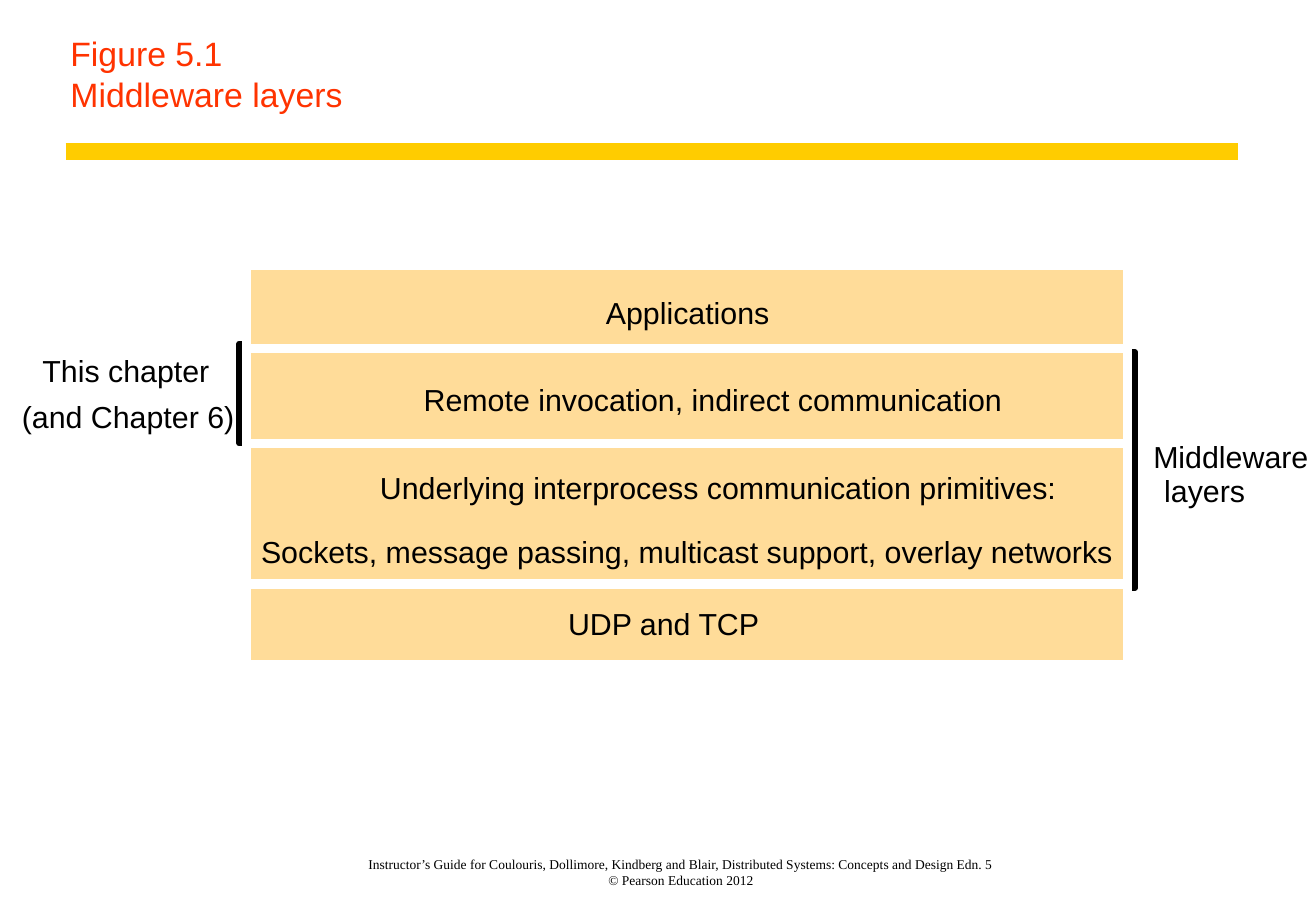
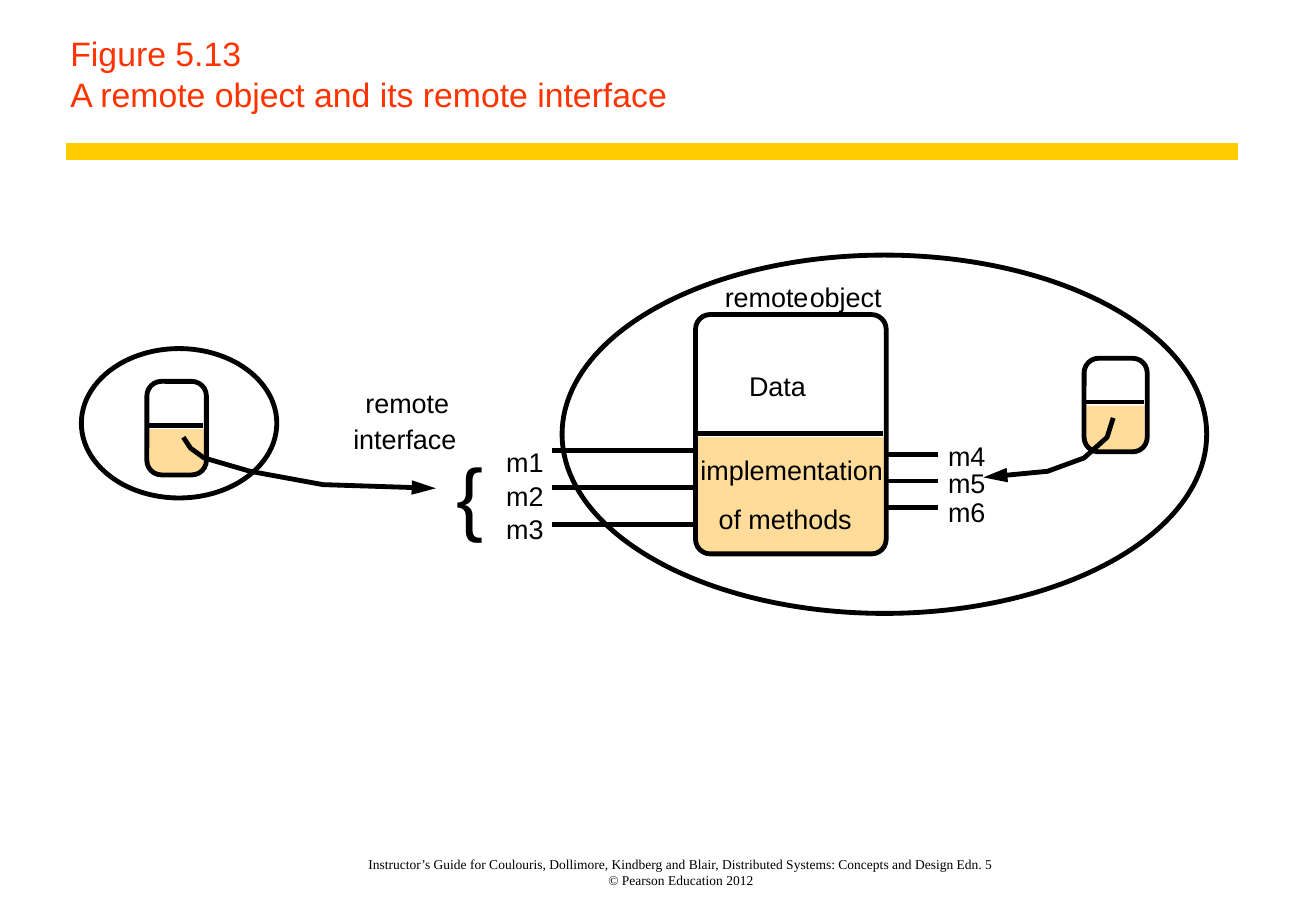
"""Build two figure slides on middleware layers and remote objects."""
from lxml import etree
from pptx import Presentation
from pptx.dml.color import RGBColor
from pptx.enum.shapes import MSO_CONNECTOR, MSO_SHAPE as SHAPE
from pptx.enum.text import MSO_ANCHOR as ANCHOR, PP_ALIGN as ALIGN
from pptx.oxml.ns import qn
from pptx.util import Inches, Pt

COLORS = {"ink": "000000", "title": "FF3300", "band": "FFCC00",
          "layer": "FFDC99", "paper": "FFFFFF"}
STROKE = 2.86
BRACKET = 3.37
LABEL_SLACK = 0.06
FOOTER = ("Instructor’s Guide for Coulouris, Dollimore, Kindberg and Blair, "
          "Distributed Systems: Concepts and Design Edn. 5\n© Pearson Education 2012")


def rgb(name):
    return RGBColor.from_string(COLORS[name])


def add_text(s, text, x, y, w, h, size, color="ink", font="Arial",
             align=ALIGN.LEFT, anchor=ANCHOR.TOP):
    box = s.shapes.add_textbox(Inches(x), Inches(y), Inches(w), Inches(h))
    tf = box.text_frame
    tf.margin_left = tf.margin_right = tf.margin_top = tf.margin_bottom = 0
    tf.word_wrap = True
    tf.vertical_anchor = anchor
    p = tf.paragraphs[0]
    p.text = text
    p.alignment = align
    p.font.size = Pt(size)
    p.font.name = font
    p.font.color.rgb = rgb(color)


def add_label(s, text, x, y, w, size):
    add_text(s, text, x, y, w + LABEL_SLACK, size / 60, size)


def style(sp, fill=None, line=None, width=STROKE):
    sp.shadow.inherit = False
    if fill:
        sp.fill.solid()
        sp.fill.fore_color.rgb = rgb(fill)
    else:
        sp.fill.background()
    if line:
        sp.line.color.rgb = rgb(line)
        sp.line.width = Pt(width)
    else:
        sp.line.fill.background()


def add_box(s, kind, x, y, w, h, fill=None, line=None, width=STROKE, radius=None):
    sp = s.shapes.add_shape(kind, Inches(x), Inches(y), Inches(w), Inches(h))
    style(sp, fill, line, width)
    if radius:
        sp.adjustments[0] = radius / min(w, h)


def add_line(s, x1, y1, x2, y2, color="ink", width=STROKE):
    ln = s.shapes.add_connector(MSO_CONNECTOR.STRAIGHT, Inches(x1), Inches(y1),
                                Inches(x2), Inches(y2))
    ln.line.color.rgb = rgb(color)
    ln.line.width = Pt(width)
    etree.SubElement(ln._element.spPr, qn("a:effectLst"))


def add_arrow(s, points):
    pts = [(Inches(x), Inches(y)) for x, y in points]
    fb = s.shapes.build_freeform(*pts[0])
    fb.add_line_segments(pts[1:], close=False)
    sp = fb.convert_to_shape()
    style(sp, line="ink")
    etree.SubElement(sp.line._get_or_add_ln(), qn("a:tailEnd"),
                     type="triangle", w="med", len="lg")


def add_object(s, x, y, w, h, split):
    """Draw a rounded object with a white upper and a filled lower part."""
    add_box(s, SHAPE.ROUNDED_RECTANGLE, x, y, w, h, fill="layer", radius=0.12)
    add_box(s, SHAPE.RECTANGLE, x, y, w, split + 0.03, fill="paper")
    add_box(s, SHAPE.ROUNDED_RECTANGLE, x, y, w, h, line="ink", radius=0.12)
    add_line(s, x, y + split, x + w - 0.03, y + split)


def add_figure(prs, title):
    s = prs.slides.add_slide(prs.slide_layouts[6])
    add_text(s, title, 0.58, 0, 9.48, 0.94, 20, "title", anchor=ANCHOR.BOTTOM)
    add_line(s, 0.54, 1.25, 10.2, 1.25, "band", 10)
    add_text(s, FOOTER, 2.31, 6.92, 6.6, 0.39, 8, font="Times New Roman",
             align=ALIGN.CENTER, anchor=ANCHOR.BOTTOM)
    return s


def layers_slide(prs):
    s = add_figure(prs, "Figure 5.1\nMiddleware layers")
    add_box(s, SHAPE.RECTANGLE, 1.97, 2.83, 0.4, 0.82, line="ink", width=BRACKET)
    add_box(s, SHAPE.RECTANGLE, 8.94, 2.9, 0.41, 1.94, line="ink", width=BRACKET)
    edges = [2.18, 2.87, 3.65, 4.81, 5.47]
    for top, bottom in zip(edges, edges[1:]):
        add_box(s, SHAPE.RECTANGLE, 2.03, top, 7.26, bottom - top,
                "layer", "paper", 5.61)
    for text, x, y, w in [
        ("Applications", 4.99, 2.42, 1.35),
        ("Remote invocation, indirect communication", 3.49, 3.14, 4.77),
        ("Underlying interprocess communication primitives:", 3.13, 3.86, 5.57),
        ("Sockets, message passing, multicast support, overlay networks",
         2.15, 4.39, 7.02),
        ("UDP and TCP", 4.68, 4.98, 1.58),
        ("This chapter", 0.35, 2.9, 1.38),
        ("(and Chapter 6)", 0.18, 3.28, 1.75),
        ("Middleware", 9.5, 3.61, 1.28),
        ("layers", 9.59, 3.89, 0.67),
    ]:
        add_label(s, text, x, y, w, 18)


def remote_object_slide(prs):
    s = add_figure(prs, "Figure 5.13\nA remote object and its remote interface")
    add_object(s, 8.93, 2.95, 0.52, 0.77, 0.36)
    add_object(s, 1.21, 3.14, 0.49, 0.77, 0.36)
    add_object(s, 5.73, 2.59, 1.57, 1.97, 0.98)
    add_box(s, SHAPE.OVAL, 4.63, 2.1, 5.31, 2.95, line="ink")
    add_box(s, SHAPE.OVAL, 0.67, 2.87, 1.61, 1.23, line="ink")
    for i, (left_y, right_y) in enumerate([(3.67, 3.62), (3.95, 3.84), (4.22, 4.08)]):
        add_line(s, 4.55, 3.71 + 0.305 * i, 5.73, 3.71 + 0.305 * i)
        add_line(s, 7.29, 3.74 + 0.22 * i, 7.73, 3.74 + 0.22 * i)
        add_label(s, f"m{i + 1}", 4.17, left_y, 0.31, 16)
        add_label(s, f"m{i + 4}", 7.81, right_y, 0.31, 16)
    add_arrow(s, [(1.51, 3.6), (1.57, 3.69), (1.68, 3.77), (2.06, 3.88),
                  (2.66, 3.99), (3.59, 4.02)])
    add_arrow(s, [(9.17, 3.44), (9.12, 3.6), (8.93, 3.77), (8.63, 3.88),
                  (8.1, 3.93)])
    for text, x, y, w in [
        ("remote", 3.01, 3.18, 0.69),
        ("interface", 2.91, 3.48, 0.85),
        ("remote", 5.97, 2.31, 0.69),
        ("object", 6.67, 2.31, 0.59),
        ("Data", 6.17, 3.04, 0.47),
        ("implementation", 5.77, 3.73, 1.5),
        ("of methods", 5.92, 4.14, 1.1),
    ]:
        add_label(s, text, x, y, w, 16)
    add_label(s, "{", 3.76, 3.67, 0.22, 48)


def main():
    prs = Presentation()
    prs.slide_width, prs.slide_height = Inches(10.84), Inches(7.5)
    layers_slide(prs)
    remote_object_slide(prs)
    prs.save("out.pptx")


if __name__ == "__main__":
    main()
